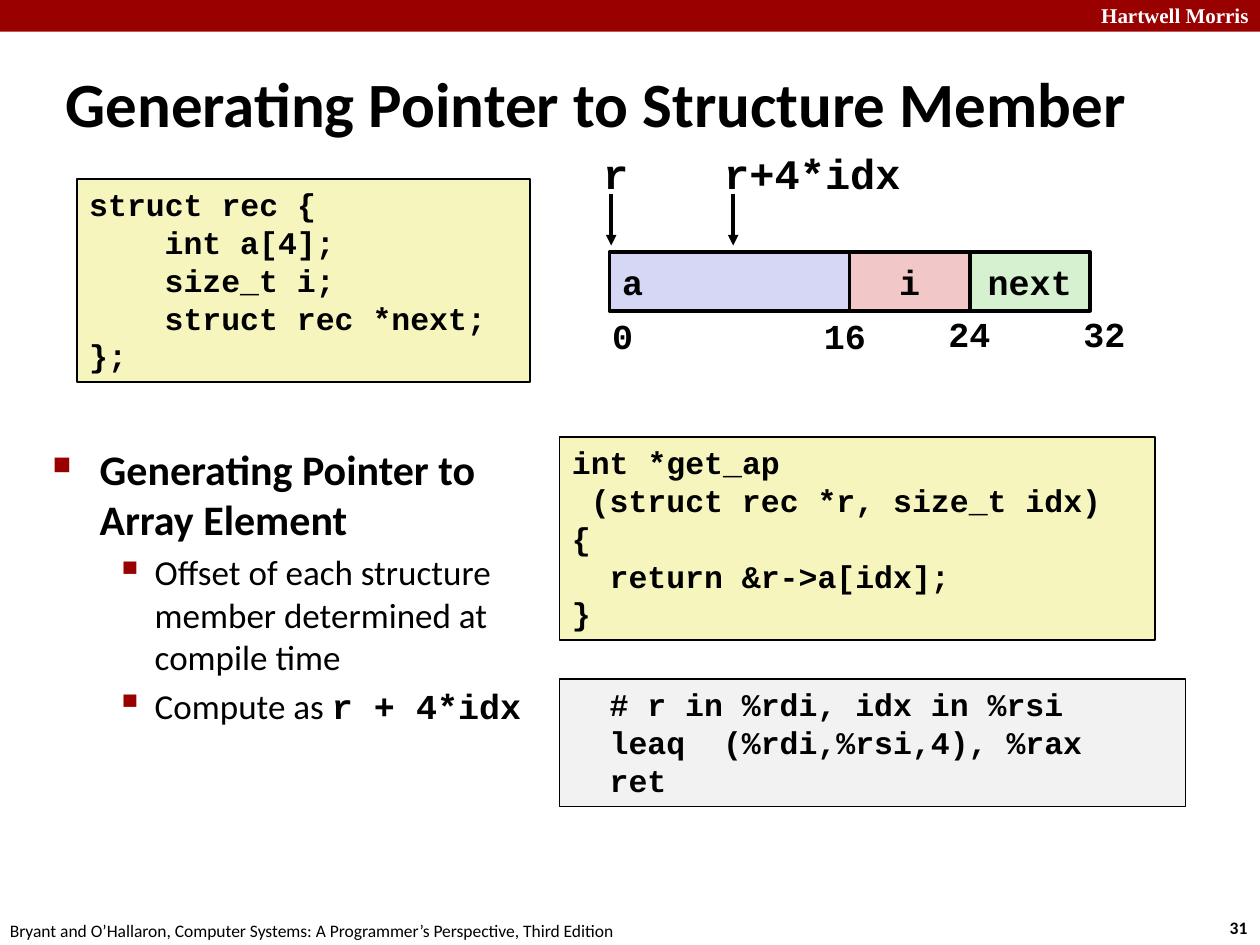
from lxml.etree import SubElement
from pptx import Presentation
from pptx.dml.color import RGBColor
from pptx.enum.shapes import MSO_CONNECTOR, MSO_SHAPE
from pptx.enum.text import MSO_ANCHOR, PP_ALIGN
from pptx.oxml.ns import qn
from pptx.util import Cm, Pt

MONO, SANS, SERIF = "Courier New", "Calibri", "Times New Roman"
RED, BLACK, WHITE = "990000", "000000", "FFFFFF"
CREAM, GREY = "F6F5BD", "F2F2F2"

LABELS = [
    ("Hartwell Morris", (21.95, -0.08, 3.63, 0.76), SERIF, 12, True, WHITE),
    ("31", (24.54, 18.36, 0.94, 0.69), SANS, 10, True, BLACK),
    ("Bryant and O’Hallaron, Computer Systems: A Programmer’s Perspective, Third Edition",
     (-0.05, 18.42, 12.9, 0.69), SANS, 10, False, BLACK),
    ("Generating Pointer to Structure Member", (1.07, 1.27, 23.06, 1.6), SANS, 36, True, BLACK),
    ("r", (11.91, 2.84, 1.02, 1.27), MONO, 24, True, BLACK),
    ("r+4*idx", (14.35, 2.84, 4.11, 1.27), MONO, 24, True, BLACK),
    ("0", (12.09, 6.22, 0.91, 1.09), MONO, 20, True, BLACK),
    ("16", (16.36, 6.22, 1.37, 1.09), MONO, 20, True, BLACK),
    ("24", (18.87, 6.17, 1.37, 1.09), MONO, 20, True, BLACK),
    ("32", (21.59, 6.17, 1.37, 1.09), MONO, 20, True, BLACK),
]

CODE = [
    ((1.55, 3.61, 9.14, 4.09), CREAM, [
        (0, "struct rec {"), (4, "int a[4];"), (4, "size_t i;"),
        (4, "struct rec *next;"), (0, "};")]),
    ((11.28, 8.81, 12.01, 4.09), CREAM, [
        (0, "int *get_ap"), (1, "(struct rec *r, size_t idx)"), (0, "{"),
        (2, "return &r->a[idx];"), (0, "}")]),
    ((11.28, 13.69, 12.62, 2.57), GREY, [
        (2, "# r in %rdi, idx in %rsi"), (2, "leaq  (%rdi,%rsi,4), %rax"), (2, "ret")]),
]

FIELDS = [
    ("a", 16, "D6D6F5", PP_ALIGN.LEFT),
    ("i", 8, "F1C7C7", PP_ALIGN.CENTER),
    ("next", 8, "D5F1CF", PP_ALIGN.CENTER),
]
LEFT, TOP, HIGH, BYTE = 12.29, 5.08, 1.19, 9.68 / 32
ARROWS = [12.32, 14.78]

LEVELS = [
    {"size": 24, "bold": True, "mark": "■", "scale": 60, "left": 0.95, "hang": 0.95},
    {"size": 20, "bold": False, "mark": "▪", "scale": 110, "left": 2.06, "hang": 0.79},
]
POINTS = [
    (0, "Generating Pointer to Array Element", ""),
    (1, "Offset of each structure member determined at compile time", ""),
    (1, "Compute as ", "r + 4*idx"),
]


def color(code):
    return RGBColor.from_string(code)


def style(font, face, size, bold, tint=BLACK):
    font.name, font.size, font.bold = face, Pt(size), bold
    font.color.rgb = color(tint)


def indent(para, left, hang=0):
    props = para._p.get_or_add_pPr()
    props.set("marL", str(Cm(left)))
    props.set("indent", str(-Cm(hang)))
    return props


def add_box(slide, place, fill, width=0):
    box = slide.shapes.add_shape(MSO_SHAPE.RECTANGLE, *map(Cm, place))
    box.shadow.inherit = False
    box.fill.solid()
    box.fill.fore_color.rgb = color(fill)
    if width:
        box.line.color.rgb = color(BLACK)
        box.line.width = Pt(width)
    else:
        box.line.fill.background()
    return box


def add_label(slide, text, place, face, size, bold, tint):
    frame = slide.shapes.add_textbox(*map(Cm, place)).text_frame
    frame.word_wrap = False
    if size > 24:
        frame.vertical_anchor = MSO_ANCHOR.MIDDLE
    para = frame.paragraphs[0]
    para.text = text
    style(para.font, face, size, bold, tint)


def add_code(slide, place, fill, lines):
    frame = add_box(slide, place, fill, 1).text_frame
    frame.word_wrap = True
    frame.vertical_anchor = MSO_ANCHOR.TOP
    for row, (cols, text) in enumerate(lines):
        para = frame.add_paragraph() if row else frame.paragraphs[0]
        para.text = text
        para.alignment = PP_ALIGN.LEFT
        indent(para, cols * 0.38)
        style(para.font, MONO, 18, True)


def add_fields(slide):
    left = LEFT
    for name, size, fill, align in FIELDS:
        wide = size * BYTE
        frame = add_box(slide, (left, TOP, wide, HIGH), fill, 2).text_frame
        frame.word_wrap = False
        frame.vertical_anchor = MSO_ANCHOR.MIDDLE
        para = frame.paragraphs[0]
        para.text = name
        para.alignment = align
        style(para.font, MONO, 20, True)
        left += wide


def add_arrow(slide, left):
    line = slide.shapes.add_connector(
        MSO_CONNECTOR.STRAIGHT, Cm(left), Cm(3.91), Cm(left), Cm(4.95))
    line.line.color.rgb = color(BLACK)
    line.line.width = Pt(2)
    props = line._element.spPr
    SubElement(props.find(qn("a:ln")), qn("a:tailEnd"), type="triangle")
    SubElement(props, qn("a:effectLst"))


def add_points(slide):
    frame = slide.shapes.add_textbox(Cm(0.81), Cm(8.81), Cm(10.9), Cm(7.95)).text_frame
    frame.word_wrap = True
    for row, (depth, text, code) in enumerate(POINTS):
        level = LEVELS[depth]
        para = frame.add_paragraph() if row else frame.paragraphs[0]
        para.level = depth
        para.space_before = Pt(level["size"] * 0.2)
        props = indent(para, level["left"], level["hang"])
        SubElement(SubElement(props, qn("a:buClr")), qn("a:srgbClr"), val=RED)
        SubElement(props, qn("a:buSzPct"), val=str(level["scale"] * 1000))
        SubElement(props, qn("a:buChar"), char=level["mark"])
        style(para.font, SANS, level["size"], level["bold"])
        para.add_run().text = text
        if code:
            run = para.add_run()
            run.text = code
            style(run.font, MONO, level["size"], True)


def main():
    """Build the slide on pointers to structure members."""
    deck = Presentation()
    deck.slide_width, deck.slide_height = Cm(25.4), Cm(19.05)
    slide = deck.slides.add_slide(deck.slide_layouts[6])
    add_box(slide, (0, 0, 25.4, 0.64), RED)
    for block in CODE:
        add_code(slide, *block)
    add_fields(slide)
    for left in ARROWS:
        add_arrow(slide, left)
    for label in LABELS:
        add_label(slide, *label)
    add_points(slide)
    deck.save("out.pptx")


if __name__ == "__main__":
    main()
